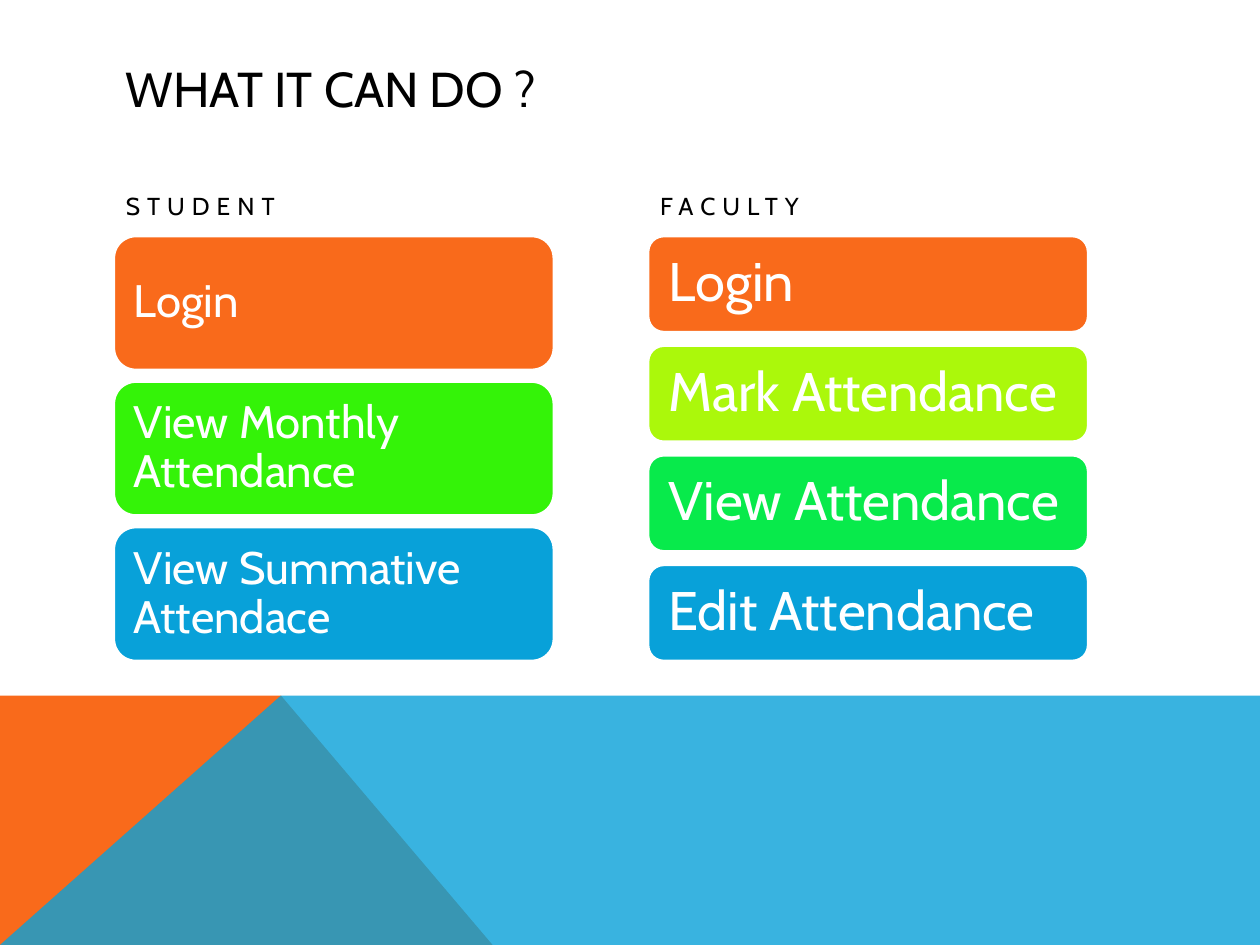
from pptx import Presentation
from pptx.dml.color import RGBColor
from pptx.enum.shapes import MSO_SHAPE
from pptx.enum.text import MSO_ANCHOR, PP_ALIGN
from pptx.oxml.ns import qn
from pptx.util import Inches, Pt
from lxml import etree

ROUNDED = MSO_SHAPE.ROUNDED_RECTANGLE
MIDDLE = MSO_ANCHOR.MIDDLE
BOTTOM = MSO_ANCHOR.BOTTOM
LEFT = PP_ALIGN.LEFT

BLACK = RGBColor(0x00, 0x00, 0x00)
WHITE = RGBColor(0xFF, 0xFF, 0xFF)
ORANGE = RGBColor(0xF9, 0x6A, 0x1B)
LIME = RGBColor(0xAB, 0xF8, 0x0B)
GREEN = RGBColor(0x34, 0xF3, 0x08)
EMERALD = RGBColor(0x08, 0xEA, 0x4B)
BLUE = RGBColor(0x08, 0xA1, 0xD9)

COLUMN_WIDTH = 3.5
CARDS_TOP = 1.87
CARDS_BOTTOM = 5.25


class SlideBuilder:
    font_name = "Cabin"

    def __init__(self, slide):
        self.slide = slide

    def set_text(self, shape, text, size, color, anchor):
        frame = shape.text_frame
        frame.word_wrap = True
        frame.vertical_anchor = anchor
        paragraph = frame.paragraphs[0]
        paragraph.text = text
        paragraph.alignment = LEFT
        paragraph.font.name = self.font_name
        paragraph.font.size = Pt(size)
        paragraph.font.color.rgb = color
        return paragraph

    def polygon(self, points, color, opacity=100):
        corners = [(Inches(x), Inches(y)) for x, y in points]
        builder = self.slide.shapes.build_freeform(*corners[0])
        builder.add_line_segments(corners[1:], close=True)
        shape = builder.convert_to_shape()
        shape.shadow.inherit = False
        shape.line.fill.background()
        shape.fill.solid()
        shape.fill.fore_color.rgb = color
        if opacity < 100:
            color_element = shape.element.spPr.find(f".//{qn('a:srgbClr')}")
            etree.SubElement(color_element, qn("a:alpha"), val=str(opacity * 1000))

    def label(self, text, left, top, width, size, anchor, spacing=0):
        box = self.slide.shapes.add_textbox(
            Inches(left), Inches(top), Inches(width), Inches(0.6))
        self.set_text(box, text, size, BLACK, anchor)
        if spacing:
            for properties in box.element.iter(qn("a:rPr"), qn("a:defRPr")):
                properties.set("spc", str(spacing * 100))
            for run in box.element.iter(qn("a:r")):
                run.get_or_add_rPr().set("spc", str(spacing * 100))

    def card(self, text, left, top, height, color, size, inset):
        shape = self.slide.shapes.add_shape(
            ROUNDED, Inches(left), Inches(top), Inches(COLUMN_WIDTH), Inches(height))
        shape.shadow.inherit = False
        shape.fill.solid()
        shape.fill.fore_color.rgb = color
        shape.line.color.rgb = WHITE
        shape.line.width = Pt(2)
        frame = shape.text_frame
        frame.margin_left = frame.margin_right = Inches(inset)
        frame.margin_top = frame.margin_bottom = Inches(inset)
        self.set_text(shape, text, size, WHITE, MIDDLE).line_spacing = 0.9

    def column(self, heading, left, cards, height, size, inset):
        self.label(heading, left, 1.2, COLUMN_WIDTH, 14, BOTTOM, spacing=4)
        pitch = (CARDS_BOTTOM - CARDS_TOP - height) / (len(cards) - 1)
        for index, (text, color) in enumerate(cards):
            self.card(text, left, CARDS_TOP + index * pitch, height, color, size, inset)


def main():
    presentation = Presentation()
    presentation.slide_width = Inches(10)
    presentation.slide_height = Inches(7.5)
    slide = presentation.slides.add_slide(presentation.slide_layouts[6])
    builder = SlideBuilder(slide)

    builder.polygon([(0, 7.5), (0, 5.52), (2.23, 5.52), (3.91, 7.5)], ORANGE)
    builder.polygon([(0, 7.5), (2.23, 5.52), (10, 5.52), (10, 7.5)], BLUE, opacity=80)
    builder.label("WHAT IT CAN DO ?", 0.9, 0.4, 8.22, 28, MIDDLE)

    student_cards = [
        ("Login", ORANGE),
        ("View Monthly Attendance", GREEN),
        ("View Summative Attendace", BLUE),
    ]
    faculty_cards = [
        ("Login", ORANGE),
        ("Mark Attendance", LIME),
        ("View Attendance", EMERALD),
        ("Edit Attendance", BLUE),
    ]
    builder.column("STUDENT", 0.9, student_cards, height=1.07, size=26, inset=0.11)
    builder.column("FACULTY", 5.14, faculty_cards, height=0.77, size=31, inset=0.13)

    presentation.save("out.pptx")


if __name__ == "__main__":
    main()
